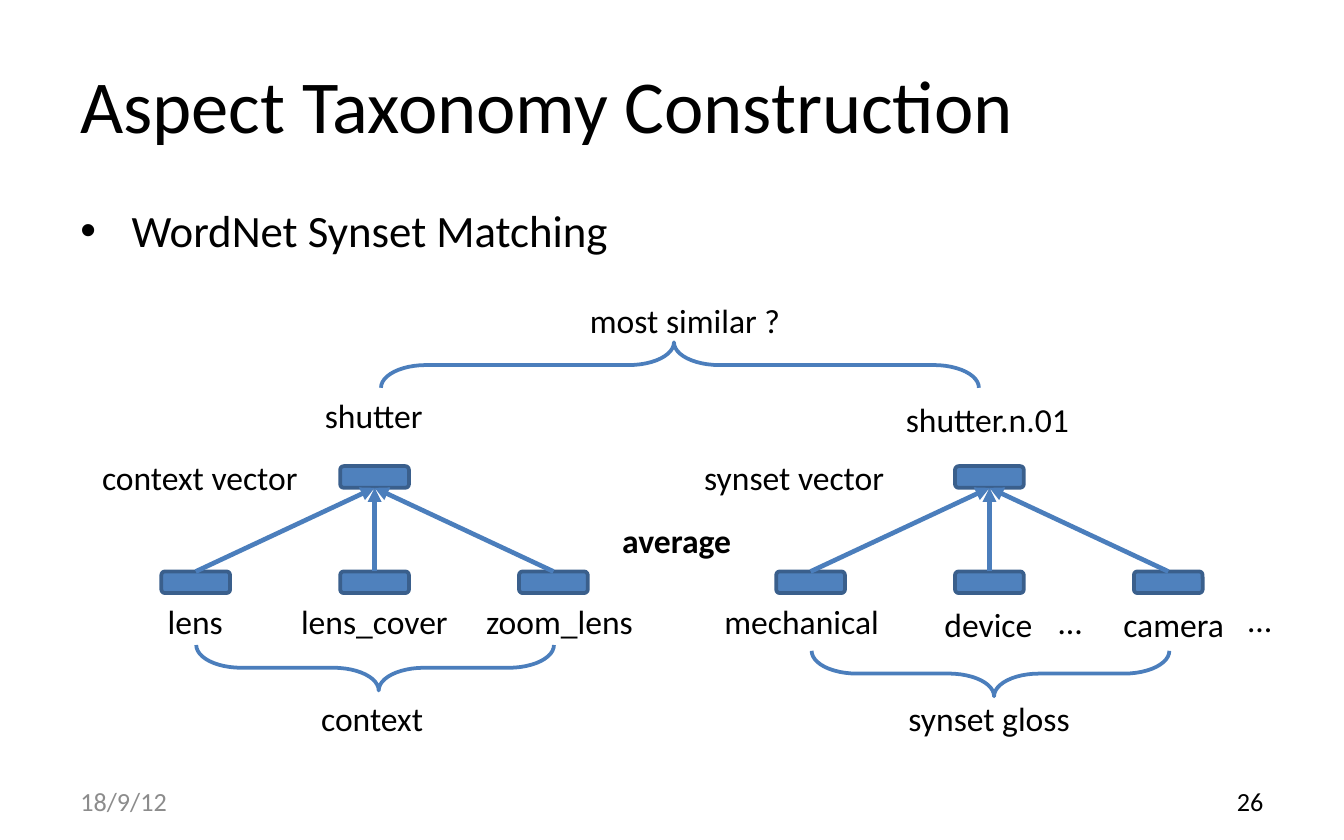
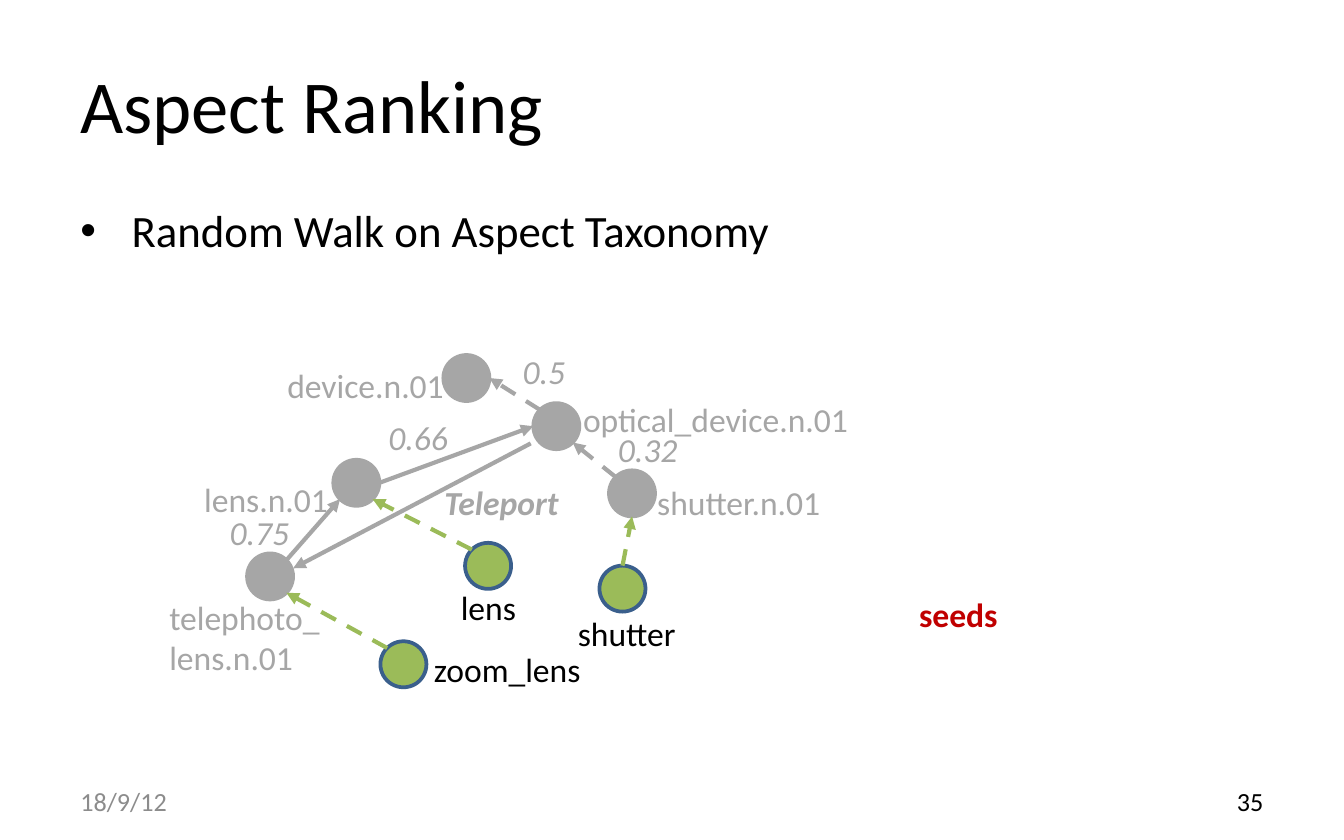
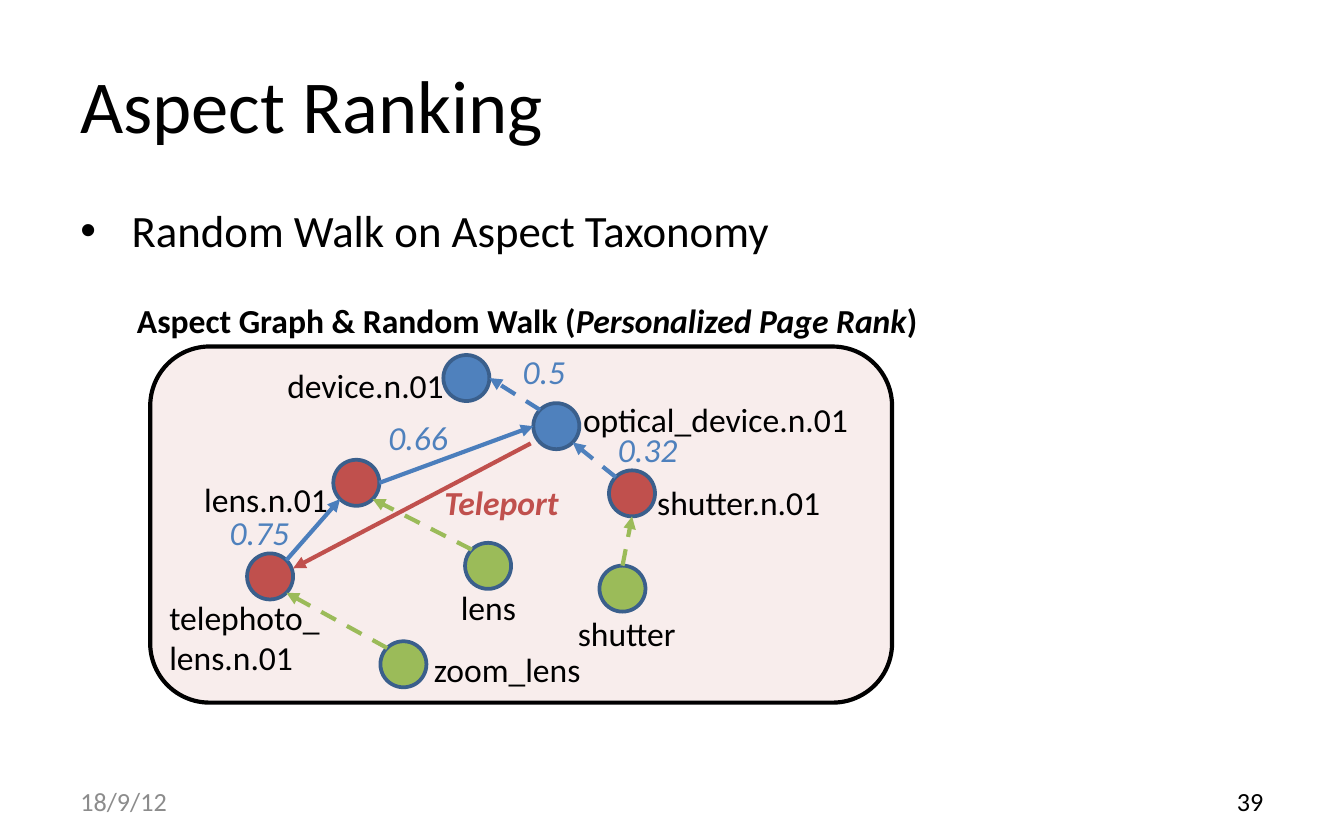
from dataclasses import dataclass
from math import cos, radians, sin
from typing import Any

from lxml.etree import SubElement
from pptx import Presentation
from pptx.dml.color import RGBColor
from pptx.enum.dml import MSO_LINE
from pptx.enum.shapes import MSO_CONNECTOR, MSO_SHAPE
from pptx.enum.text import MSO_ANCHOR, MSO_AUTO_SIZE, PP_ALIGN
from pptx.oxml.ns import qn
from pptx.util import Cm, Pt

COLORS = {
    "black": "000000",
    "date": "8C8C8C",
    "muted": "A6A6A6",
    "blue": "4F81BD",
    "line": "4B7EBC",
    "outline": "3A5F8C",
    "red": "C0504D",
    "green": "9BBB59",
    "panel": "F2DCDB",
    "seeds": "C00000",
}
FONT = "Calibri"
LABEL_H = 1.02
BOX_W, BOX_H = 1.3, 0.41
LEAF_STEP, LEAF_Y, ROOT_Y = 3.38, 10.8, 8.81
BRACE_DEPTH = 0.86
NODE_D = 0.87
ANGLES = {"E": 0, "SE": 45, "S": 90, "SW": 135, "W": 180, "NW": 225, "N": 270, "NE": 315}


@dataclass(frozen=True)
class Label:
    text: str
    x: float
    y: float
    w: float
    h: float = LABEL_H
    color: str = "black"
    size: float = 18
    bold: bool = False
    italic: bool = False


@dataclass(frozen=True)
class Brace:
    cx: float
    cy: float
    span: float
    rotation: int


@dataclass(frozen=True)
class Node:
    x: float
    y: float
    color: str
    label: Label

    def site(self, side: str) -> tuple[float, float]:
        a, radius = radians(ANGLES[side]), NODE_D / 2
        return self.x + radius * (1 + cos(a)), self.y + radius * (1 + sin(a))


@dataclass(frozen=True)
class Edge:
    start: str
    start_side: str
    end: str
    end_side: str
    color: str
    dashed: bool = False


TREE_LEFTS = (3.05, 14.67)
TREE_LABELS = (
    Label("shutter", 5.89, 7.34, 2.39),
    Label("lens", 2.92, 11.23, 1.57),
    Label("lens_cover", 5.44, 11.23, 3.33),
    Label("zoom_lens", 8.94, 11.23, 3.33),
    Label("shutter.n.01", 16.87, 7.42, 3.63),
    Label("mechanical", 13.44, 11.23, 3.48),
    Label("device", 17.6, 11.28, 2.21),
    Label("camera", 20.98, 11.28, 2.44),
    Label("context", 5.82, 13.06, 2.46),
    Label("synset vector", 13.06, 8.51, 3.96),
    Label("…", 19.76, 11.23, 0.97),
    Label("…", 23.34, 11.2, 0.97),
    Label("synset gloss", 16.92, 13.06, 3.58),
    Label("context vector", 1.68, 8.51, 4.24),
    Label("most similar ?", 10.9, 5.54, 4.14),
    Label("average", 11.51, 9.7, 2.59, bold=True),
)
BRACES = (
    Brace(7.09, 12.62, 2 * LEAF_STEP, 270),
    Brace(18.72, 12.73, 2 * LEAF_STEP, 270),
    Brace(12.85, 6.9, 11.3, 90),
)
NODES = {
    "lens.n": Node(6.3, 8.69, "red", Label("lens.n.01", 3.61, 8.92, 2.95)),
    "device.n": Node(8.38, 6.71, "blue", Label("device.n.01", 5.18, 6.78, 3.48)),
    "optical.n": Node(10.08, 7.62, "blue", Label("optical_device.n.01", 10.77, 7.42, 5.72)),
    "shutter.n": Node(11.51, 8.89, "red", Label("shutter.n.01", 12.17, 8.99, 3.78)),
    "telephoto.n": Node(4.67, 10.46, "red", Label("telephoto_lens.n.01", 2.95, 11.15, 3.38, 1.8)),
    "lens": Node(8.79, 10.26, "green", Label("lens", 8.46, 10.97, 1.73)),
    "zoom": Node(7.19, 12.12, "green", Label("zoom_lens", 7.95, 12.14, 3.94)),
    "shutter": Node(11.33, 10.69, "green", Label("shutter", 10.67, 11.46, 2.41)),
}
EDGES = (
    Edge("lens.n", "E", "optical.n", "W", "line"),
    Edge("optical.n", "NW", "device.n", "E", "line", True),
    Edge("shutter.n", "NW", "optical.n", "SE", "blue", True),
    Edge("telephoto.n", "NE", "lens.n", "SW", "line"),
    Edge("lens", "NW", "lens.n", "SE", "green", True),
    Edge("zoom", "NW", "telephoto.n", "SE", "green", True),
    Edge("shutter", "N", "shutter.n", "S", "green", True),
)
TELEPORT = ((10.03, 8.38), (5.54, 10.74))
EDGE_LABELS = (
    Label("0.75", 4.09, 9.55, 1.8, color="blue", italic=True),
    Label("0.66", 7.09, 7.75, 1.8, color="blue", italic=True),
    Label("0.5", 9.63, 6.5, 1.55, color="blue", italic=True),
    Label("0.32", 11.43, 7.98, 1.63, color="blue", italic=True),
    Label("Teleport", 8.15, 8.99, 2.72, color="red", bold=True, italic=True),
)


def rgb(color: str) -> RGBColor:
    return RGBColor.from_string(COLORS[color])


def set_format(obj: Any, values: dict[str, Any]) -> None:
    for name, value in values.items():
        setattr(obj, name, value)


def add_run(p: Any, label: Label, text: str, italic: bool) -> None:
    r = p.add_run()
    r.text = text
    set_format(r.font, {"name": FONT, "size": Pt(label.size), "bold": label.bold, "italic": italic})
    r.font.color.rgb = rgb(label.color)


def add_label(s: Any, label: Label, wrap: bool = True, grow: bool = True,
              anchor: MSO_ANCHOR = MSO_ANCHOR.TOP) -> Any:
    tf = s.shapes.add_textbox(Cm(label.x), Cm(label.y), Cm(label.w), Cm(label.h)).text_frame
    fit = MSO_AUTO_SIZE.SHAPE_TO_FIT_TEXT if grow else MSO_AUTO_SIZE.NONE
    set_format(tf, {"word_wrap": wrap, "auto_size": fit, "vertical_anchor": anchor})
    p = tf.paragraphs[0]
    add_run(p, label, label.text, label.italic)
    return p


def add_shape(s: Any, kind: MSO_SHAPE, x: float, y: float, w: float, h: float,
              fill: str | None, line: str, width: float = 2) -> Any:
    sp = s.shapes.add_shape(kind, Cm(x), Cm(y), Cm(w), Cm(h))
    sp.shadow.inherit = False
    if fill is None:
        sp.fill.background()
    else:
        sp.fill.solid()
        sp.fill.fore_color.rgb = rgb(fill)
    sp.line.color.rgb = rgb(line)
    sp.line.width = Pt(width)
    return sp


def add_arrow(s: Any, start: tuple[float, float], end: tuple[float, float],
              color: str, width: float = 2.25, dashed: bool = False) -> None:
    c = s.shapes.add_connector(MSO_CONNECTOR.STRAIGHT, *(Cm(v) for v in start + end))
    c.line.color.rgb = rgb(color)
    c.line.width = Pt(width)
    if dashed:
        c.line.dash_style = MSO_LINE.DASH
    SubElement(c.line._get_or_add_ln(), qn("a:tailEnd"), type="triangle")
    SubElement(c._element.spPr, qn("a:effectLst"))


def add_brace(s: Any, brace: Brace) -> None:
    sp = add_shape(s, MSO_SHAPE.LEFT_BRACE, brace.cx - BRACE_DEPTH / 2, brace.cy - brace.span / 2,
                   BRACE_DEPTH, brace.span, None, "line")
    sp.rotation = brace.rotation
    sp.adjustments[0], sp.adjustments[1] = 0.99, 0.51


def add_slide(prs: Any, title: str, bullet: str, number: int) -> Any:
    s = prs.slides.add_slide(prs.slide_layouts[6])
    middle = MSO_ANCHOR.MIDDLE
    add_label(s, Label(title, 1.27, 0.64, 22.86, 2.64, size=40), grow=False, anchor=middle)
    p = add_label(s, Label(bullet, 1.27, 3.71, 22.86, 10.46, size=24), grow=False)
    pPr = p._p.get_or_add_pPr()
    pPr.set("marL", str(Cm(0.97)))
    pPr.set("indent", str(-Cm(0.97)))
    SubElement(pPr, qn("a:buFont"), typeface="Arial")
    SubElement(pPr, qn("a:buChar"), char="•")
    date = Label("18/9/12", 1.27, 14.71, 5.92, 0.84, "date", 14)
    add_label(s, date, grow=False, anchor=middle)
    page = Label(str(number), 18.21, 14.71, 5.92, 0.84, size=14)
    add_label(s, page, grow=False, anchor=middle).alignment = PP_ALIGN.RIGHT
    return s


def add_tree(s: Any, left: float) -> None:
    def add_box(x: float, y: float) -> None:
        add_shape(s, MSO_SHAPE.ROUNDED_RECTANGLE, x, y, BOX_W, BOX_H, "blue", "outline")

    root_x = left + LEAF_STEP
    add_box(root_x, ROOT_Y)
    for i in range(3):
        x = left + i * LEAF_STEP
        add_box(x, LEAF_Y)
        add_arrow(s, (x + BOX_W / 2, LEAF_Y), (root_x + BOX_W / 2, ROOT_Y + BOX_H), "line", 2.5)


def add_graph(s: Any, muted: bool) -> None:
    def shade(color: str) -> str:
        return "muted" if muted and color != "green" else color

    def add_shaded(label: Label, color: str) -> None:
        add_label(s, Label(label.text, label.x, label.y, label.w, label.h, color,
                           bold=label.bold, italic=label.italic))

    for node in NODES.values():
        seed = node.color == "green"
        add_shape(s, MSO_SHAPE.OVAL, node.x, node.y, NODE_D, NODE_D, shade(node.color),
                  "outline" if seed else shade("outline"))
        add_shaded(node.label, "black" if seed else shade("black"))
    for edge in EDGES:
        add_arrow(s, NODES[edge.start].site(edge.start_side), NODES[edge.end].site(edge.end_side),
                  shade(edge.color), dashed=edge.dashed)
    add_arrow(s, *TELEPORT, shade("red"))
    for label in EDGE_LABELS:
        add_shaded(label, shade(label.color))


def add_panel(s: Any) -> None:
    sp = add_shape(s, MSO_SHAPE.ROUNDED_RECTANGLE, 2.84, 6.55, 14.02, 6.73, "panel", "black", 2.25)
    fill = sp._element.spPr.find(qn("a:solidFill"))
    SubElement(fill[0], qn("a:alpha"), val="50000")
    heading = Label("Aspect Graph & Random Walk (", 2.34, 5.54, 15.34, bold=True)
    p = add_label(s, heading)
    add_run(p, heading, "Personalized Page Rank", True)
    add_run(p, heading, ")", False)


def main() -> None:
    prs = Presentation()
    prs.slide_width = Cm(25.4)
    prs.slide_height = Cm(25.4) * 5 // 8

    s = add_slide(prs, "Aspect Taxonomy Construction", "WordNet Synset Matching", 26)
    for left in TREE_LEFTS:
        add_tree(s, left)
    for brace in BRACES:
        add_brace(s, brace)
    for label in TREE_LABELS:
        add_label(s, label, wrap=False)

    s = add_slide(prs, "Aspect Ranking", "Random Walk on Aspect Taxonomy", 35)
    add_graph(s, muted=True)
    add_label(s, Label("seeds", 17.12, 11.1, 2.08, color="seeds", bold=True), wrap=False)

    s = add_slide(prs, "Aspect Ranking", "Random Walk on Aspect Taxonomy", 39)
    add_panel(s)
    add_graph(s, muted=False)

    prs.save("out.pptx")


if __name__ == "__main__":
    main()
